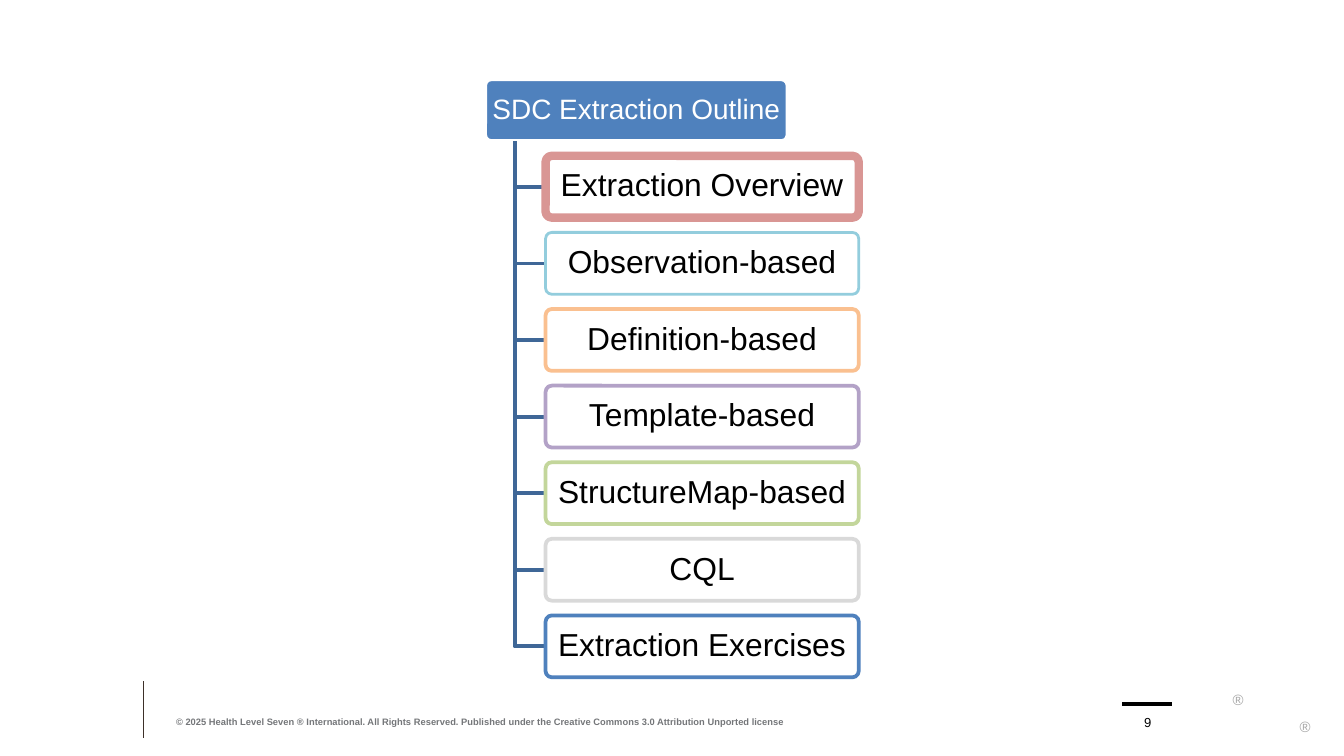
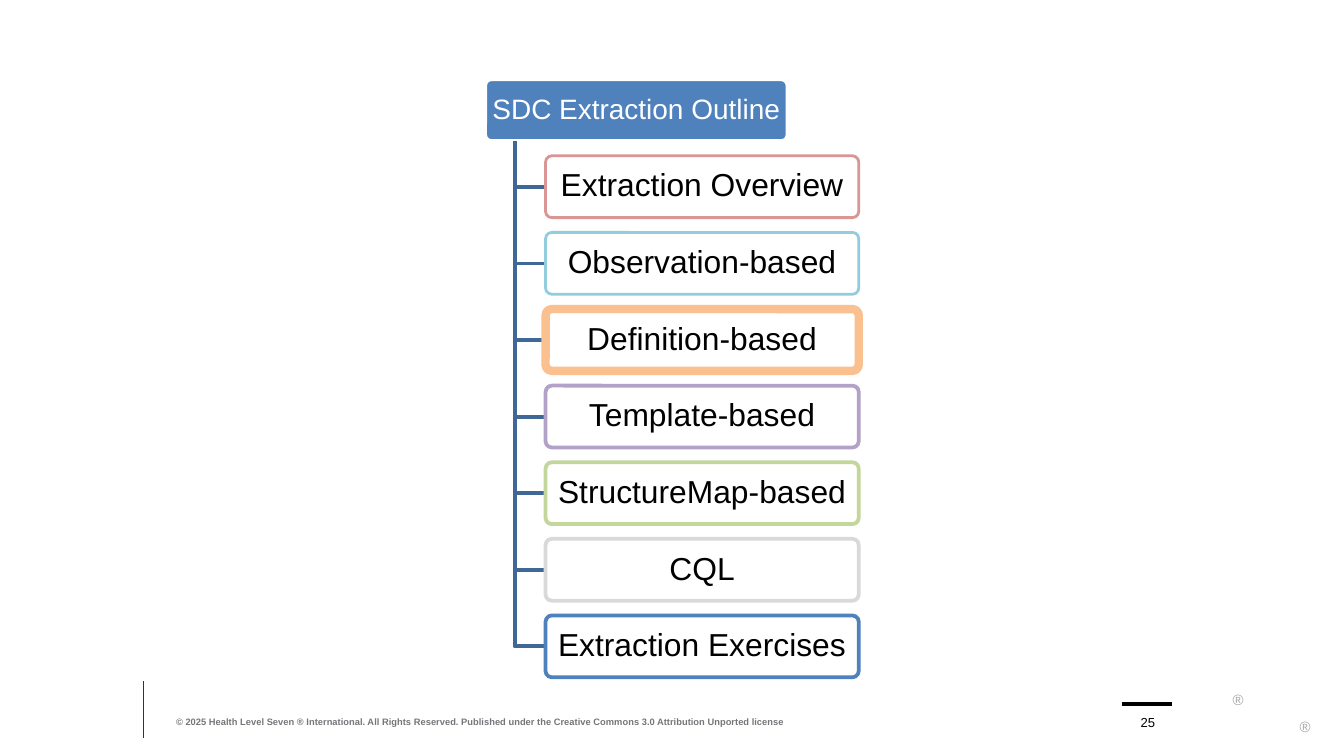
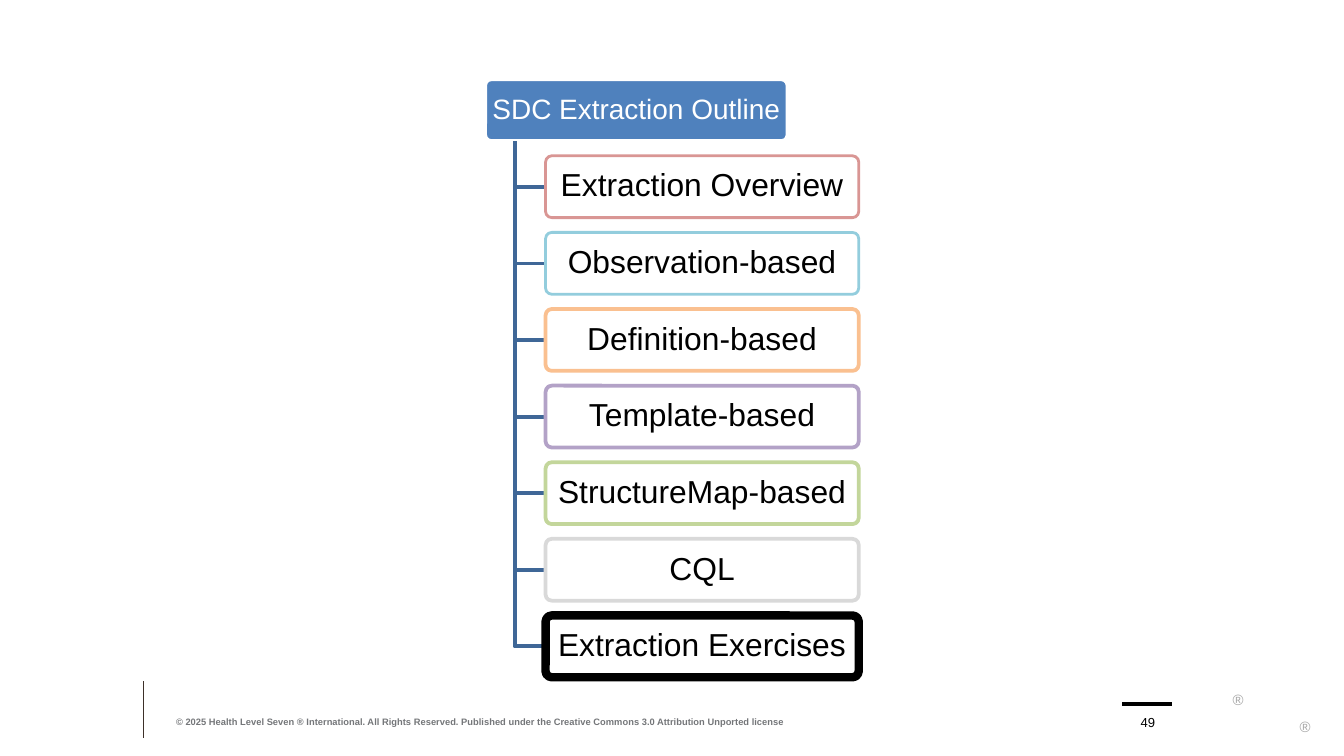
from lxml.etree import SubElement
from pptx import Presentation
from pptx.dml.color import RGBColor
from pptx.enum.shapes import MSO_CONNECTOR, MSO_SHAPE
from pptx.enum.text import MSO_ANCHOR, MSO_AUTO_SIZE, PP_ALIGN
from pptx.oxml.ns import qn
from pptx.util import Pt

SCALE = 9144  # EMU in one px, 100 px to the inch
SLIDE_WIDTH = 1000
FONT = "Arial"
WHITE, BLACK, GRAY, MARK_GRAY = "FFFFFF", "000000", "747679", "A6A6A6"
BLUE, BRANCH_BLUE, RULE_BROWN = "4F81BD", "3F6797", "3D3029"
COPYRIGHT = ("© 2025 Health Level Seven ® International. All Rights Reserved. "
             "Published under the Creative Commons 3.0 Attribution Unported license")

# Outline topics: label, border colour, border width in points
TOPICS = [
    ("Extraction Overview", "D99694", 1.5),
    ("Observation-based", "93CDDD", 1.5),
    ("Definition-based", "FAC090", 2),
    ("Template-based", "B3A2C7", 2),
    ("StructureMap-based", "C3D69B", 2),
    ("CQL", "D9D9D9", 2),
    ("Extraction Exercises", BLUE, 2),
]
CURRENT_WIDTH = 4.5

# Slides: page number, current topic, its border colour
PAGES = [
    ("9", "Extraction Overview", "D99694"),
    ("25", "Definition-based", "FAC090"),
    ("49", "Extraction Exercises", BLACK),
]


def px(*lengths):
    return [length * SCALE for length in lengths]


def color(hex_code):
    return RGBColor.from_string(hex_code)


def set_line(shape, hex_code, width):
    shape.line.color.rgb = color(hex_code)
    shape.line.width = Pt(width)


def write(frame, text, size, hex_code, bold=False, align=PP_ALIGN.LEFT):
    frame.text = text
    para = frame.paragraphs[0]
    para.alignment = align
    for span in para.runs:
        span.font.name = FONT
        span.font.size = Pt(size)
        span.font.bold = bold
        span.font.color.rgb = color(hex_code)
    return para


def set_insets(frame, side, end):
    frame.margin_left, frame.margin_right = px(side, side)
    frame.margin_top, frame.margin_bottom = px(end, end)


def add_rule(slide, x1, y1, x2, y2, hex_code, width):
    rule = slide.shapes.add_connector(MSO_CONNECTOR.STRAIGHT, *px(x1, y1, x2, y2))
    set_line(rule, hex_code, width)
    SubElement(rule.element.spPr, qn("a:effectLst"))


def add_footer_text(slide, box, text, size, hex_code, **style):
    frame = slide.shapes.add_textbox(*px(*box)).text_frame
    frame.word_wrap = True
    frame.vertical_anchor = MSO_ANCHOR.BOTTOM
    set_insets(frame, 0, 0)
    write(frame, text, size, hex_code, **style)


def add_footer(slide, left, top, number):
    # Side rule and page number rule
    add_rule(slide, left, top, left, top + 42, RULE_BROWN, 0.5)
    add_rule(slide, left + 728, top + 17, left + 765, top + 17, BLACK, 2)
    # Registered marks
    for x, y, width in ((809, 3, 11), (860, 23, 9)):
        mark = slide.shapes.add_textbox(*px(left + x, top + y, width, 9))
        mark.text_frame.word_wrap = False
        mark.text_frame.auto_size = MSO_AUTO_SIZE.SHAPE_TO_FIT_TEXT
        write(mark.text_frame, "®", 8, MARK_GRAY)
    # Copyright and page number
    add_footer_text(slide, (left + 24, top + 17, 495, 17), COPYRIGHT, 5, GRAY, bold=True)
    add_footer_text(slide, (left + 732, top + 17, 30, 19), number, 7, BLACK,
                    align=PP_ALIGN.CENTER)


def add_node(slide, box, label, size, text_color, fill, border, width, inset):
    node = slide.shapes.add_shape(MSO_SHAPE.ROUNDED_RECTANGLE, *px(*box))
    node.adjustments[0] = 0.1
    node.shadow.inherit = False
    node.fill.solid()
    node.fill.fore_color.rgb = color(fill)
    set_line(node, border, width)
    frame = node.text_frame
    frame.word_wrap = True
    frame.vertical_anchor = MSO_ANCHOR.MIDDLE
    set_insets(frame, inset, 2)
    para = write(frame, label, size, text_color, align=PP_ALIGN.CENTER)
    para.line_spacing = 0.9
    return node


def set_opacity(shape, percent):
    fill_color = shape.element.spPr.find(qn("a:solidFill"))[0]
    SubElement(fill_color, qn("a:alpha"), val=str(percent * 1000))


def add_branch(slide, x, top, end_x, end_y):
    builder = slide.shapes.build_freeform(x, top, scale=SCALE)
    builder.add_line_segments([(x, end_y), (end_x, end_y)], close=False)
    branch = builder.convert_to_shape()
    branch.shadow.inherit = False
    branch.fill.background()
    set_line(branch, BRANCH_BLUE, 2)


def add_outline(slide, left, top, current, current_color):
    height, step = 46, 57
    # Root node
    add_node(slide, (left, top, 225, height), "SDC Extraction Outline", 15,
             WHITE, BLUE, WHITE, 2, inset=3)
    # Topics, each with its branch from the root
    for row, (label, border, width) in enumerate(TOPICS, start=1):
        if label == current:
            border, width = current_color, CURRENT_WIDTH
        topic_left, topic_top = left + 45, top + row * step
        add_branch(slide, left + 22, top + height, topic_left, topic_top + height // 2)
        topic = add_node(slide, (topic_left, topic_top, 233, height), label, 17,
                         BLACK, WHITE, border, width, inset=4)
        set_opacity(topic, 90)


def main():
    deck = Presentation()
    # Widescreen page, 16:9
    deck.slide_width = SLIDE_WIDTH * SCALE
    deck.slide_height = deck.slide_width * 9 // 16
    blank = deck.slide_layouts[6]
    for number, current, current_color in PAGES:
        slide = deck.slides.add_slide(blank)
        add_footer(slide, 107, 507, number)
        add_outline(slide, 361, 59, current, current_color)
    deck.save("out.pptx")


if __name__ == "__main__":
    main()
